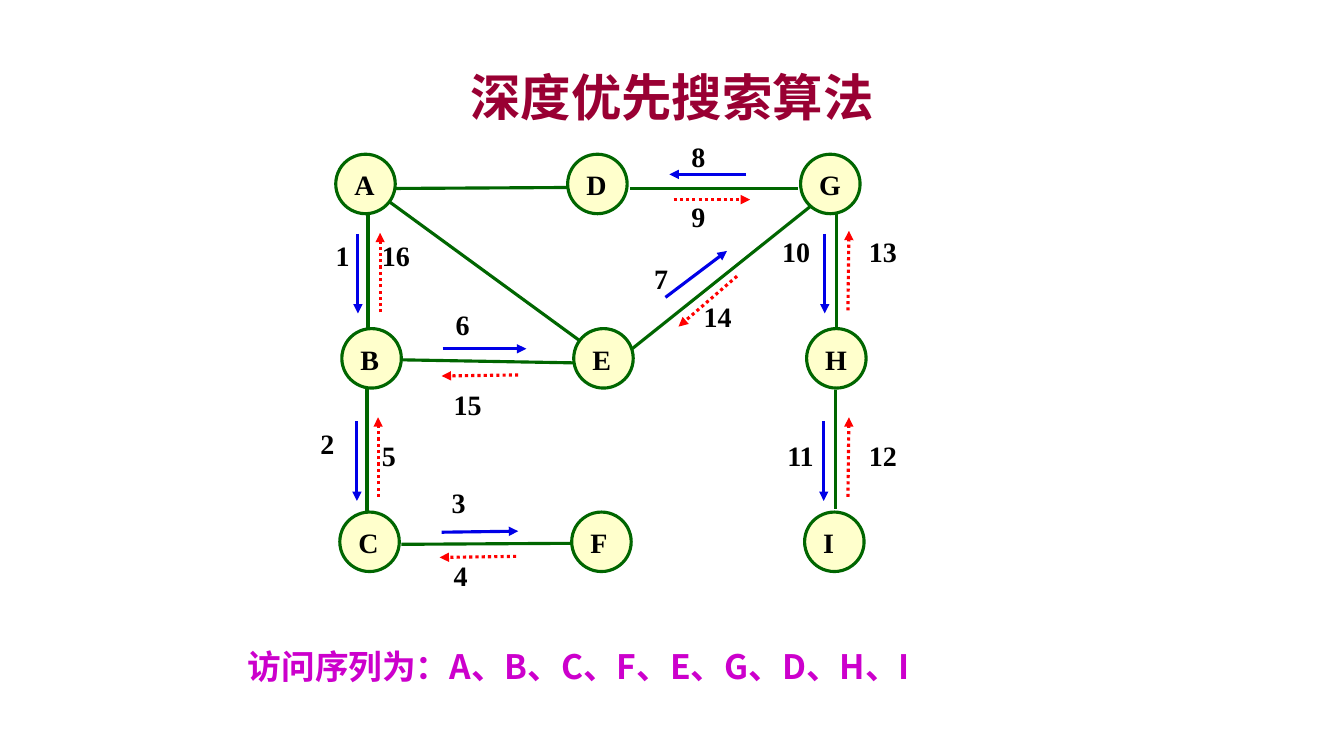
from lxml.etree import SubElement
from pptx import Presentation
from pptx.dml.color import RGBColor
from pptx.enum.dml import MSO_LINE
from pptx.enum.shapes import MSO_CONNECTOR, MSO_SHAPE
from pptx.enum.text import MSO_ANCHOR, PP_ALIGN
from pptx.oxml.ns import qn
from pptx.util import Pt

PX = 9144  # 100 px to the inch
COLOURS = {
    "title": "990033", "edge": "006600", "node": "FFFFCC", "label": "000000",
    "visit": "0000E7", "return": "FF0000", "sequence": "CC00CC",
}
CJK, LATIN = "Noto Sans CJK SC", "Times New Roman"
NODE_SIZE = 59


def write(box, text, font, size, colour, align, anchor=MSO_ANCHOR.TOP, space=0):
    frame = box.text_frame
    frame.word_wrap = True
    frame.vertical_anchor = anchor
    para = frame.paragraphs[0]
    para.alignment = align
    para.space_before = Pt(space)
    span = para.add_run()
    span.text = text
    for name, value in {"name": font, "size": Pt(size), "bold": True}.items():
        setattr(span.font, name, value)
    span.font.color.rgb = RGBColor.from_string(COLOURS[colour])
    SubElement(span.font._element, qn("a:ea"), typeface=font)


def draw_line(shapes, ends, colour, arrow=False, dash=None):
    line = shapes.add_connector(MSO_CONNECTOR.STRAIGHT, *(n * PX for n in ends))
    line.line.color.rgb = RGBColor.from_string(COLOURS[colour])
    line.line.width = Pt(2.25)
    if dash:
        line.line.dash_style = dash
    if arrow:
        SubElement(line.line._get_or_add_ln(), qn("a:tailEnd"), type="triangle")
    SubElement(line._element.spPr, qn("a:effectLst"))


deck = Presentation()
deck.slide_width, deck.slide_height = 1333 * PX, 750 * PX
page = deck.slides.add_slide(deck.slide_layouts[5])

title = page.shapes.title
title.left, title.top, title.width, title.height = (n * PX for n in (100, 58, 1133, 75))
write(title, "深度优先搜索算法", CJK, 36, "title", PP_ALIGN.CENTER, MSO_ANCHOR.MIDDLE)

graph = page.shapes.add_group_shape().shapes

edges = [
    (392, 187, 566, 186), (625, 187, 791, 187),  # A-D, D-G
    (365, 211, 365, 330), (386, 200, 575, 338),  # A-B, A-E
    (627, 346, 806, 203), (830, 212, 830, 331),  # E-G, G-H
    (398, 357, 570, 360), (364, 385, 364, 508),  # B-E, B-C
    (829, 387, 829, 505), (398, 540, 570, 539),  # H-I, C-F
]
for ends in edges:
    draw_line(graph, ends, "edge")

# Each row: node names, left of the first node, top
node_rows = [("ADG", 333, 153), ("BEH", 339, 326), ("CFI", 337, 508)]
for names, row_left, top in node_rows:
    for column, name in enumerate(names):
        left = row_left + column * 461 // 2
        node = graph.add_shape(MSO_SHAPE.OVAL, left * PX, top * PX,
                               NODE_SIZE * PX, NODE_SIZE * PX)
        node.shadow.inherit = False
        node.fill.solid()
        node.fill.fore_color.rgb = RGBColor.from_string(COLOURS["node"])
        node.line.color.rgb = RGBColor.from_string(COLOURS["edge"])
        node.line.width = Pt(2.25)
        write(node, name, LATIN, 20, "label", PP_ALIGN.JUSTIFY, space=2)

visits = [
    (355, 232, 355, 311), (354, 418, 354, 497), (438, 528, 514, 527),
    (439, 346, 522, 346), (660, 295, 721, 249), (740, 173, 664, 173),
    (818, 232, 818, 311), (817, 418, 817, 497),
]
returns = [
    (512, 552, 436, 553), (375, 493, 375, 414), (668, 198, 744, 198),
    (841, 493, 842, 414), (841, 308, 842, 229), (731, 274, 673, 324),
    (514, 372, 438, 373), (377, 310, 377, 231),
]
for ends in visits:
    draw_line(graph, ends, "visit", arrow=True)
for ends in returns:
    draw_line(graph, ends, "return", arrow=True, dash=MSO_LINE.ROUND_DOT)

# Step labels 1 to 16: left, top, width, height
step_labels = [
    (323, 232, 45, 59), (308, 418, 59, 59), (438, 477, 59, 59), (440, 549, 59, 59),
    (369, 430, 59, 59), (442, 300, 59, 59), (639, 254, 59, 59), (676, 133, 59, 59),
    (676, 193, 59, 59), (766, 228, 62, 59), (771, 430, 59, 59), (852, 430, 48, 59),
    (852, 228, 48, 59), (688, 292, 78, 44), (440, 379, 81, 51), (369, 232, 74, 55),
]
for step, place in enumerate(step_labels, start=1):
    label = graph.add_textbox(*(n * PX for n in place))
    write(label, str(step), LATIN, 20, "label", PP_ALIGN.JUSTIFY, space=2)

sequence = page.shapes.add_textbox(*(n * PX for n in (236, 636, 963, 50)))
write(sequence, "访问序列为：" + "、".join("ABCFEGDHI"), CJK, 24, "sequence", PP_ALIGN.LEFT)

deck.save("out.pptx")
